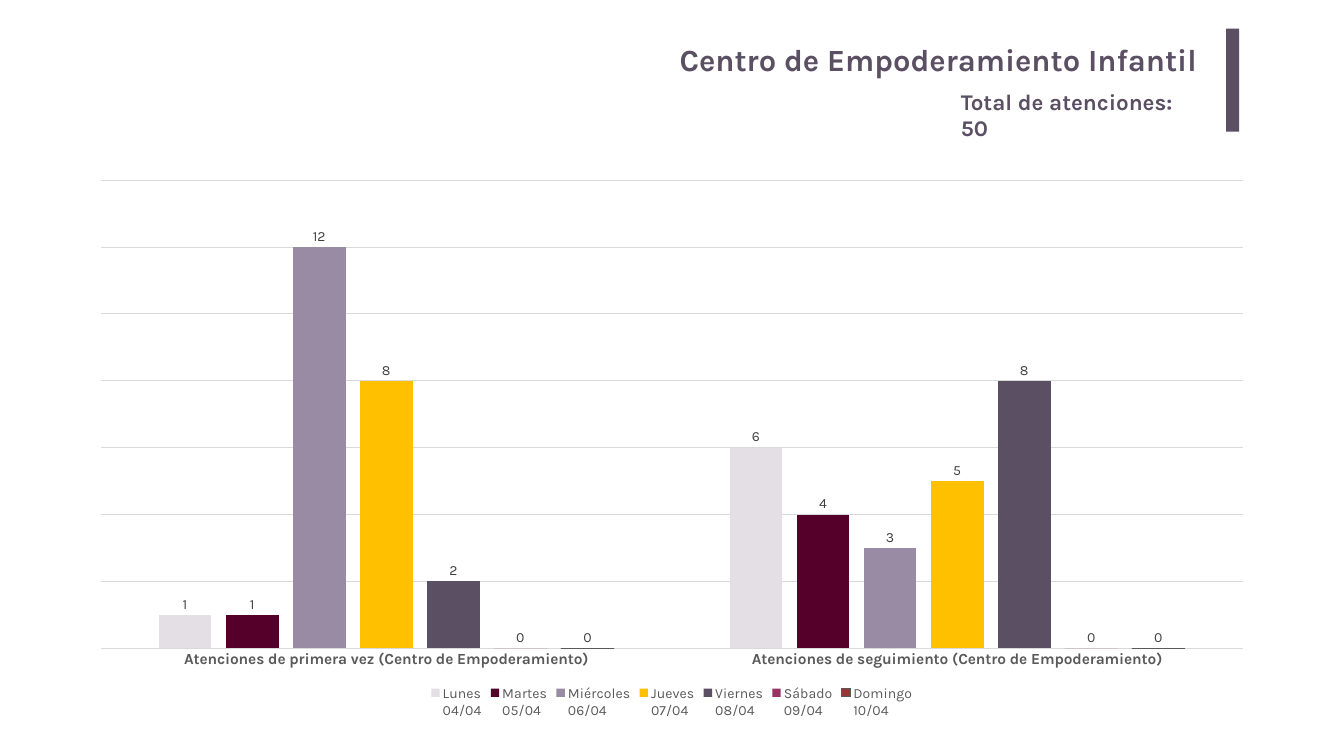
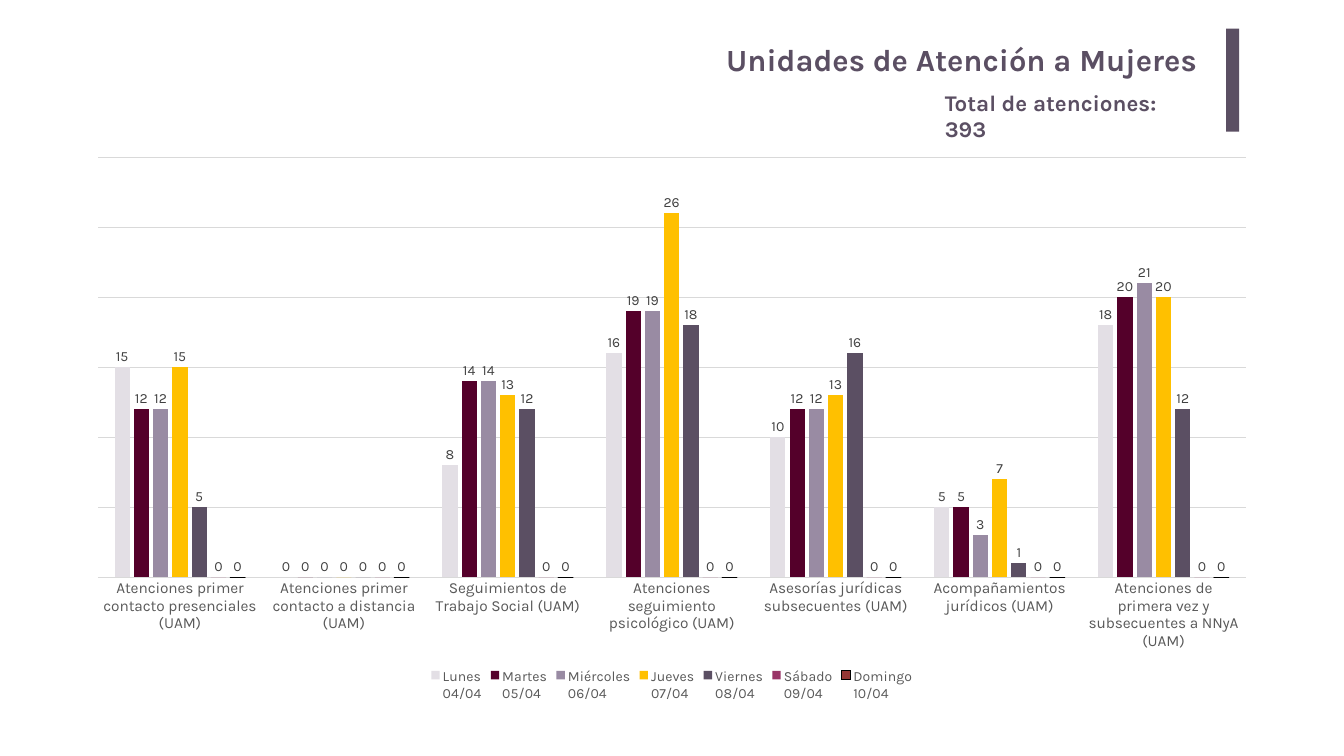
from dataclasses import dataclass

from pptx import Presentation
from pptx.chart.data import CategoryChartData
from pptx.dml.color import RGBColor
from pptx.enum.chart import XL_CHART_TYPE, XL_LABEL_POSITION, XL_LEGEND_POSITION, XL_TICK_MARK
from pptx.enum.shapes import MSO_SHAPE
from pptx.enum.text import MSO_ANCHOR, MSO_AUTO_SIZE, PP_ALIGN
from pptx.util import Inches, Pt

COLUMNS = XL_CHART_TYPE.COLUMN_CLUSTERED
OUTSIDE_END = XL_LABEL_POSITION.OUTSIDE_END
LEGEND_BOTTOM = XL_LEGEND_POSITION.BOTTOM
NO_TICK = XL_TICK_MARK.NONE
RECTANGLE = MSO_SHAPE.RECTANGLE
MIDDLE, TOP = MSO_ANCHOR.MIDDLE, MSO_ANCHOR.TOP
RIGHT, LEFT = PP_ALIGN.RIGHT, PP_ALIGN.LEFT


@dataclass(frozen=True)
class Theme:
    font: str = "Karla"
    accent: str = "5B4F63"
    grid: str = "D9D9D9"
    axis_text: str = "595959"
    label_text: str = "404040"
    chart_text: str = "000000"
    title_size: int = 44
    total_size: int = 32
    category_size: int = 22
    label_size: int = 20
    chart_size: int = 10
    line_width: float = 0.75


THEME = Theme()

DAYS = [
    ("Lunes\n04/04", "E3DFE5"),
    ("Martes\n05/04", "54002A"),
    ("Miércoles\n06/04", "998BA3"),
    ("Jueves\n07/04", "FFC000"),
    ("Viernes\n08/04", THEME.accent),
    ("Sábado\n09/04", "993366"),
    ("Domingo\n10/04", "953735"),
]

EMPOWERMENT_COUNTS = {
    "Atenciones de primera vez (Centro de Empoderamiento)": (1, 1, 12, 8, 2, 0, 0),
    "Atenciones de seguimiento (Centro de Empoderamiento)": (6, 4, 3, 5, 8, 0, 0),
}

WOMEN_UNIT_COUNTS = {
    "Atenciones primer contacto presenciales (UAM)": (15, 12, 12, 15, 5, 0, 0),
    "Atenciones primer contacto a distancia (UAM)": (0, 0, 0, 0, 0, 0, 0),
    "Seguimientos de Trabajo Social (UAM)": (8, 14, 14, 13, 12, 0, 0),
    "Atenciones seguimiento psicológico (UAM)": (16, 19, 19, 26, 18, 0, 0),
    "Asesorías jurídicas subsecuentes (UAM)": (10, 12, 12, 13, 16, 0, 0),
    "Acompañamientos jurídicos (UAM)": (5, 5, 3, 7, 1, 0, 0),
    "Atenciones de primera vez y subsecuentes a NNyA (UAM)": (18, 20, 21, 20, 12, 0, 0),
}


def inches(place):
    return [Inches(length) for length in place]


def style_font(font, size, color, bold=False):
    font.name = THEME.font
    font.size = Pt(size)
    font.bold = bold
    font.color.rgb = RGBColor.from_string(color)


def style_line(line, color):
    line.color.rgb = RGBColor.from_string(color)
    line.width = Pt(THEME.line_width)


def add_text(page, place, text, size, inset, align=LEFT, anchor=TOP):
    box = page.shapes.add_textbox(*inches(place))
    frame = box.text_frame
    frame.word_wrap = True
    frame.vertical_anchor = anchor
    frame.margin_left = frame.margin_right = Inches(inset)
    frame.margin_top = frame.margin_bottom = Inches(inset / 2)
    para = frame.paragraphs[0]
    para.alignment = align
    span = para.add_run()
    span.text = text
    style_font(span.font, size, THEME.accent, bold=True)
    return box


def add_heading(page, title, total, total_place):
    add_text(page, (3.66, 0.67, 20.3, 1.02), title, THEME.title_size, 0.2, RIGHT, MIDDLE)
    band = page.shapes.add_shape(RECTANGLE, *inches((24.33, 0.57, 0.26, 2.04)))
    band.shadow.inherit = False
    band.fill.solid()
    band.fill.fore_color.rgb = RGBColor.from_string(THEME.accent)
    band.line.fill.background()
    total_box = add_text(page, total_place, f"Total de atenciones: {total}", THEME.total_size, 0.1)
    total_box.text_frame.auto_size = MSO_AUTO_SIZE.SHAPE_TO_FIT_TEXT


def style_axes(chart, top, step, bold_categories):
    categories = chart.category_axis
    categories.major_tick_mark = categories.minor_tick_mark = NO_TICK
    categories.has_major_gridlines = False
    style_line(categories.format.line, THEME.grid)
    style_font(categories.tick_labels.font, THEME.category_size, THEME.axis_text, bold_categories)

    values = chart.value_axis
    values.minimum_scale = 0
    values.maximum_scale = top
    values.major_unit = step
    values.has_major_gridlines = True
    style_line(values.major_gridlines.format.line, THEME.grid)
    values.visible = False


def style_day(series, color):
    series.invert_if_negative = False
    series.format.fill.solid()
    series.format.fill.fore_color.rgb = RGBColor.from_string(color)
    labels = series.data_labels
    labels.show_value = True
    labels.position = OUTSIDE_END
    style_font(labels.font, THEME.label_size, THEME.label_text)


def add_week_chart(page, place, counts, top, step, sunday_outline, bold_categories=False):
    data = CategoryChartData()
    data.categories = list(counts)
    for (day, _), day_counts in zip(DAYS, zip(*counts.values())):
        data.add_series(day, day_counts)
    chart = page.shapes.add_chart(COLUMNS, *inches(place), data).chart
    chart.has_title = False
    style_font(chart.font, THEME.chart_size, THEME.chart_text)
    style_axes(chart, top, step, bold_categories)

    plot = chart.plots[0]
    plot.gap_width = 219
    plot.overlap = -27
    plot.vary_by_categories = False
    for series, (_, color) in zip(plot.series, DAYS):
        style_day(series, color)
    style_line(plot.series[len(DAYS) - 1].format.line, sunday_outline)

    chart.has_legend = True
    chart.legend.position = LEGEND_BOTTOM
    chart.legend.include_in_layout = False
    style_font(chart.legend.font, THEME.label_size, THEME.axis_text)


def add_page(deck):
    return deck.slides.add_slide(deck.slide_layouts[6])


def main():
    deck = Presentation()
    deck.slide_width, deck.slide_height = inches((26.67, 15))

    page = add_page(deck)
    add_heading(page, "Centro de Empoderamiento Infantil", 50, (18.97, 1.69, 5.05, 0.64))
    add_week_chart(page, (1.53, 3.35, 23.6, 10.98), EMPOWERMENT_COUNTS, 14, 2,
                   THEME.axis_text, bold_categories=True)

    page = add_page(deck)
    add_heading(page, "Unidades de Atención a Mujeres", 393, (18.65, 1.71, 5.31, 0.65))
    add_week_chart(page, (1.47, 2.9, 23.72, 11.08), WOMEN_UNIT_COUNTS, 30, 5,
                   THEME.chart_text)

    deck.save("out.pptx")


if __name__ == "__main__":
    main()
